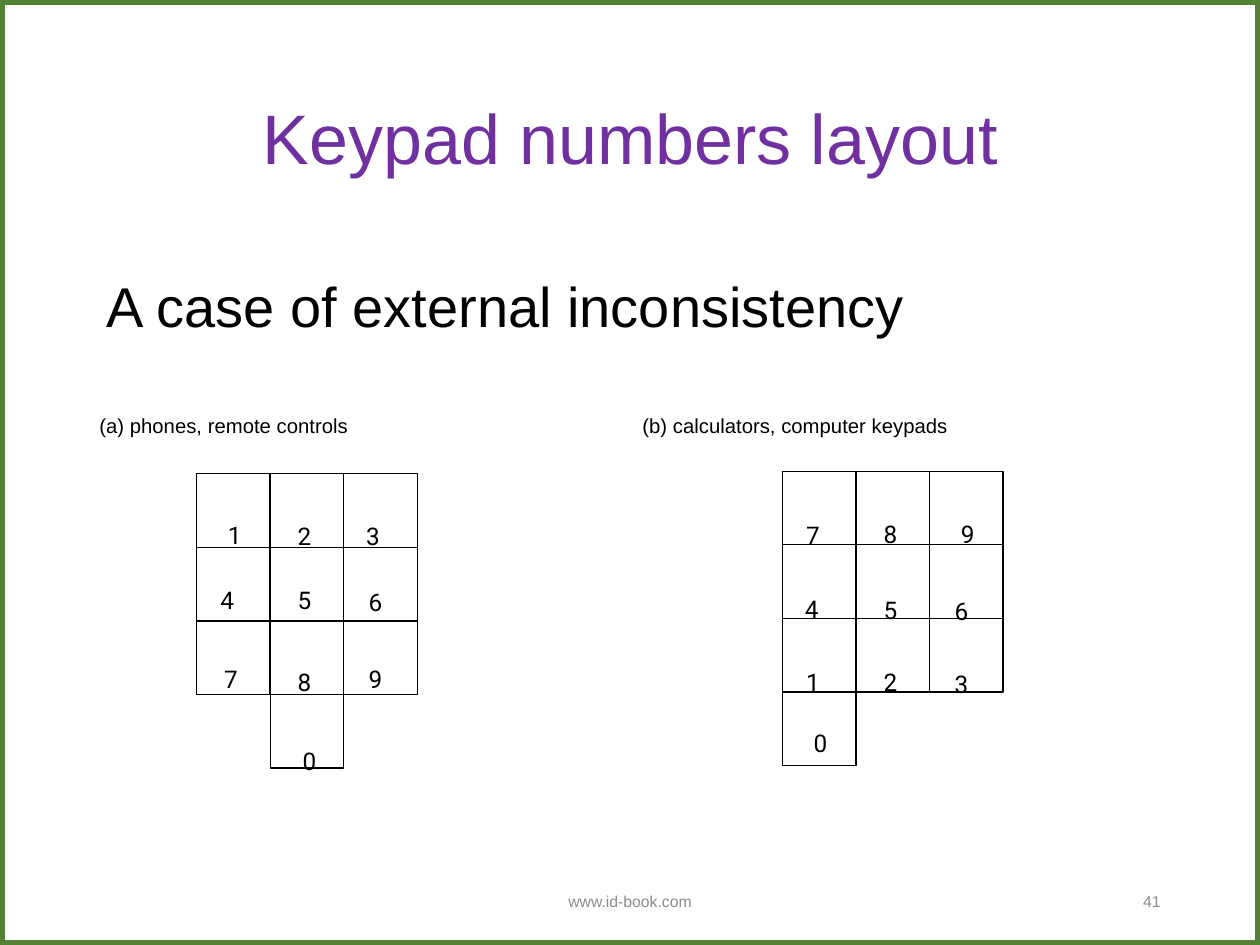
from pptx import Presentation
from pptx.dml.color import RGBColor
from pptx.enum.shapes import MSO_SHAPE
from pptx.enum.text import MSO_ANCHOR, MSO_AUTO_SIZE, PP_ALIGN
from pptx.util import Inches, Pt

RECT = MSO_SHAPE.RECTANGLE
TOP, MIDDLE = MSO_ANCHOR.TOP, MSO_ANCHOR.MIDDLE
LEFT, CENTER, RIGHT = PP_ALIGN.LEFT, PP_ALIGN.CENTER, PP_ALIGN.RIGHT
GROW, FIXED = MSO_AUTO_SIZE.SHAPE_TO_FIT_TEXT, MSO_AUTO_SIZE.NONE

COLORS = {"frame": "548235", "title": "7030A0", "ink": "000000", "footer": "8C8C8C"}
W, H = 10, 7.5
KEY = 0.584            # side of a key, and pitch of the keypad grid
DIGIT_BOX = (0.39, 0.5)
SUBSCRIPT = "-33000"

# Each key: digit, column, row, shift of the digit within its key
PHONE_KEYS = [
    ("1", 0, 0, 0.15, 0.07), ("2", 1, 0, 0.12, 0.08), ("3", 2, 0, 0.08, 0.08),
    ("4", 0, 1, 0.09, 0), ("5", 1, 1, 0.12, 0), ("6", 2, 1, 0.1, 0.02),
    ("7", 0, 2, 0.12, 0.04), ("8", 1, 2, 0.12, 0.07), ("9", 2, 2, 0.1, 0.04),
    ("0", 1, 3, 0.16, 0.11),
]
CALCULATOR_KEYS = [
    ("7", 0, 0, 0.09, 0.09), ("8", 1, 0, 0.12, 0.08), ("9", 2, 0, 0.15, 0.08),
    ("4", 0, 1, 0.08, 0.09), ("5", 1, 1, 0.12, 0.1), ("6", 2, 1, 0.1, 0.11),
    ("1", 0, 2, 0.09, 0.09), ("2", 1, 2, 0.12, 0.09), ("3", 2, 2, 0.1, 0.1),
    ("0", 0, 3, 0.15, -0.01),
]


def rgb(name):
    return RGBColor.from_string(COLORS[name])


def place(shape, box):
    shape.left, shape.top, shape.width, shape.height = map(Inches, box)


def write(sp, text, size, color="ink", font="Arial", align=LEFT, anchor=TOP,
          spacing=None, wrap=True):
    tf = sp.text_frame
    tf.word_wrap = wrap
    tf.auto_size = FIXED if wrap else GROW
    tf.vertical_anchor = anchor
    p = tf.paragraphs[0]
    p.alignment = align
    p.line_spacing = spacing
    r = p.add_run()
    r.text = text
    p.font.size = Pt(size)
    p.font.name = font
    p.font.color.rgb = rgb(color)
    return r


def add_text(s, box, text, size, **style):
    sp = s.shapes.add_textbox(*map(Inches, box))
    return write(sp, text, size, **style)


def add_label(s, box, text, size, font="Arial"):
    """Unwrapped text set as a subscript."""
    r = add_text(s, box, text, size, font=font, wrap=False)
    r.font._element.set("baseline", SUBSCRIPT)


def add_outline(s, box, color, width):
    sp = s.shapes.add_shape(RECT, *map(Inches, box))
    sp.shadow.inherit = False
    sp.fill.background()
    sp.line.color.rgb = rgb(color)
    sp.line.width = Pt(width)


def add_heading(s, box):
    place(s.shapes.title, box)
    write(s.shapes.title, "Keypad numbers layout", 40, color="title",
          align=CENTER, anchor=MIDDLE, spacing=0.9)


def add_keypad(s, left, top, keys):
    for digit, col, row, dx, dy in keys:
        x, y = left + col * KEY, top + row * KEY
        add_outline(s, (x, y, KEY, KEY), "ink", 0.75)
        add_label(s, (x + dx, y + dy, *DIGIT_BOX), digit, 24, font="Roboto")


def add_footer(s, top, height):
    style = {"color": "footer", "anchor": MIDDLE}
    add_text(s, (3.31, top, 3.38, height), "www.id-book.com", 9, align=CENTER, **style)
    add_text(s, (7.06, top, 2.25, height), "41", 9, align=RIGHT, **style)


def main():
    prs = Presentation()
    prs.slide_width, prs.slide_height = Inches(W), Inches(H)
    s = prs.slides.add_slide(prs.slide_layouts[5])

    # Frame, title and statement
    add_outline(s, (0, 0, W, H), "frame", 6)
    add_heading(s, (0.69, 0.4, 8.62, 1.45))
    add_text(s, (0.75, 2.17, 8.75, 4.5), "A case of external inconsistency", 32,
             spacing=0.9)

    # Two keypads with their captions
    add_label(s, (0.69, 3.02, 3.63, 0.44), "(a) phones, remote controls", 20)
    add_keypad(s, 1.56, 3.76, PHONE_KEYS)
    add_label(s, (5, 3.02, 4.41, 0.44), "(b) calculators, computer keypads", 20)
    add_keypad(s, 6.21, 3.74, CALCULATOR_KEYS)

    add_footer(s, 6.95, 0.4)
    prs.save("out.pptx")


if __name__ == "__main__":
    main()
